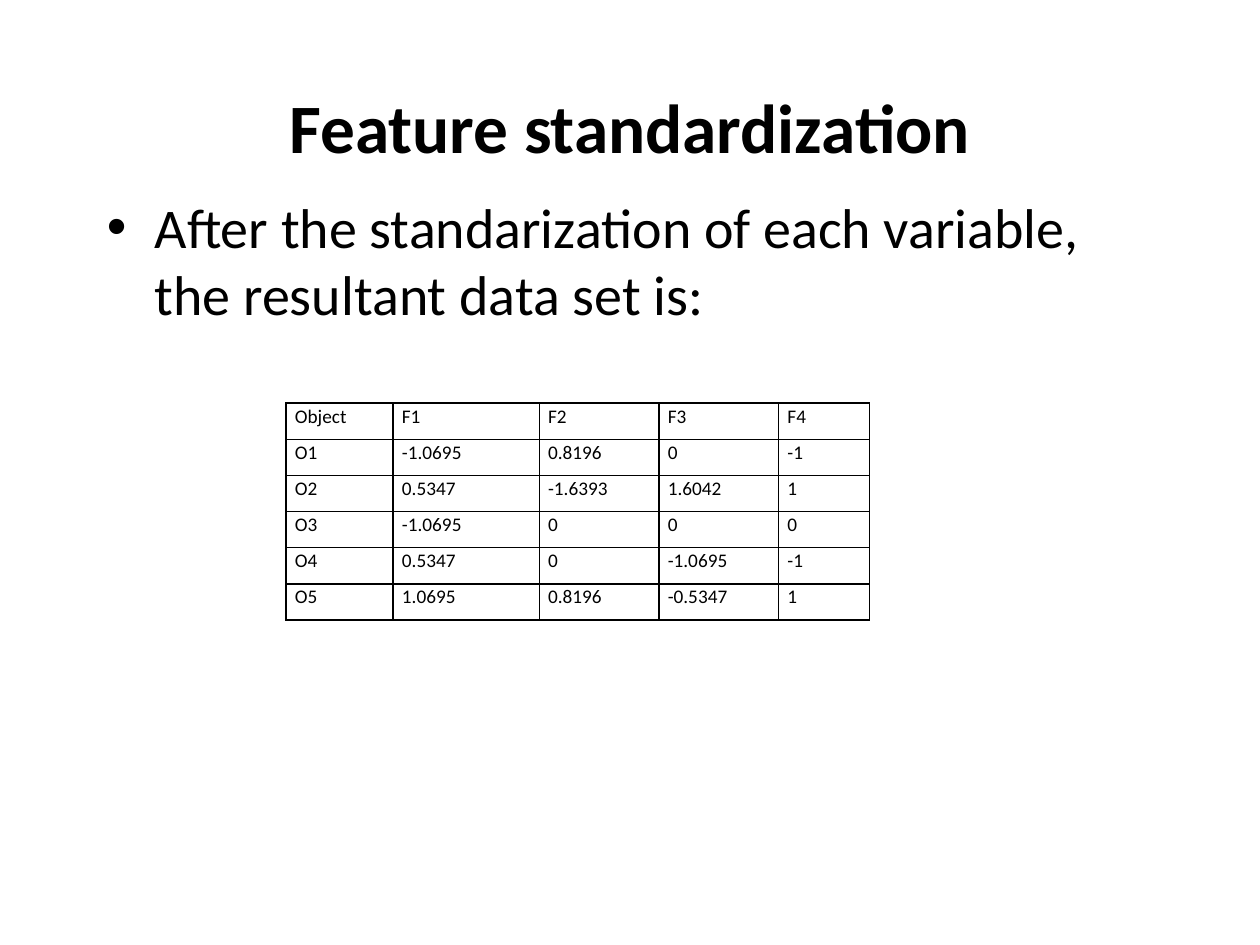
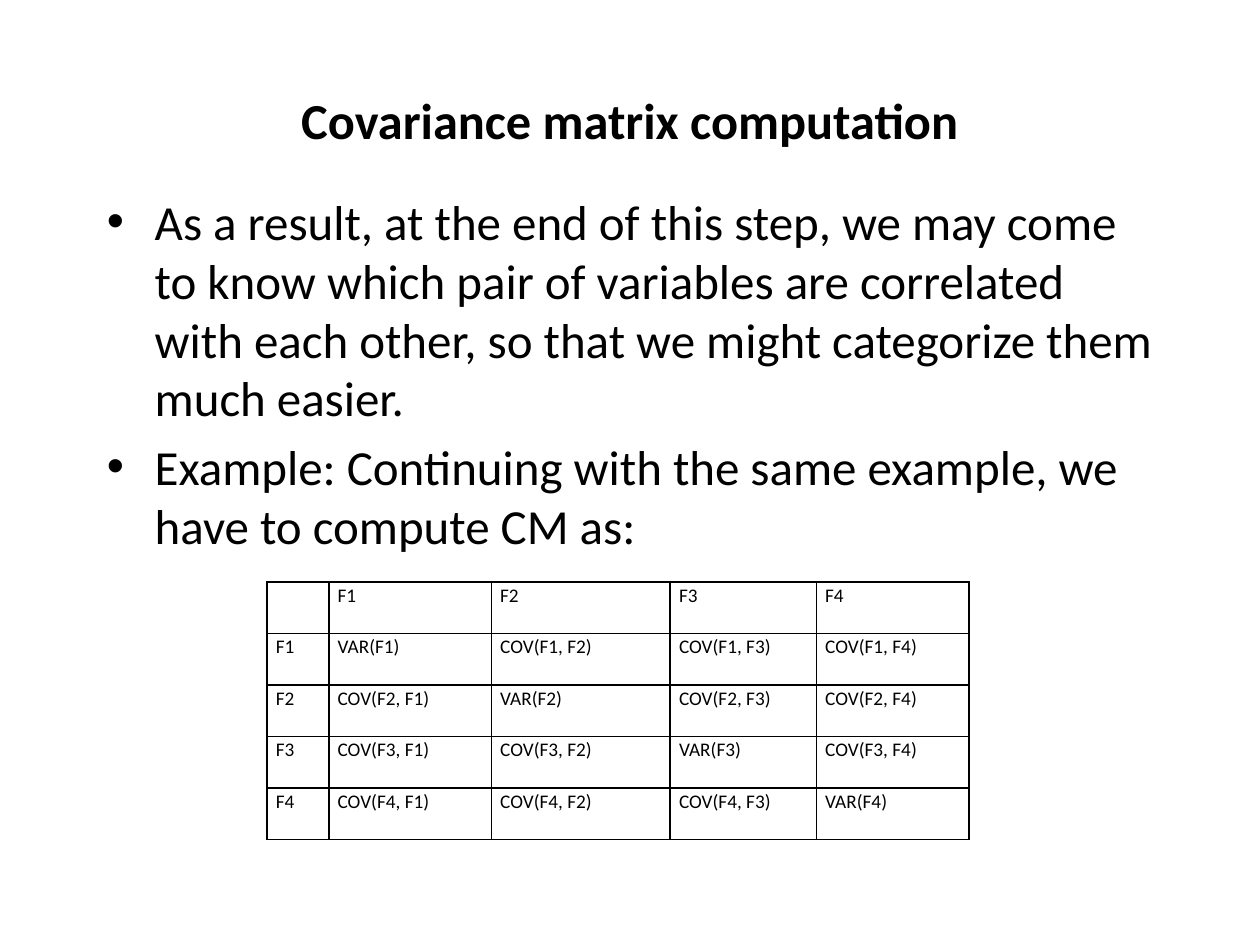
import pptx
import pptx.dml.color
import pptx.enum.text
import pptx.oxml
import pptx.oxml.ns
import pptx.util
from lxml import etree

BLACK = pptx.dml.color.RGBColor(0, 0, 0)
WHITE = pptx.dml.color.RGBColor(255, 255, 255)
COLS, ROWS = 40, 30
LEFT, WIDE = 3, 34
HEAD_TOP, BODY_END = 2.68, 26.68
ALIGN = pptx.enum.text.PP_ALIGN
ANCHOR = pptx.enum.text.MSO_ANCHOR


def apply(target, values):
    for name, value in values.items():
        setattr(target, name, value)


class Deck:
    font = {"name": "Calibri", "bold": False}
    cell = {"margin_left": pptx.util.Inches(0.07), "margin_right": pptx.util.Inches(0.07),
            "margin_top": 0, "margin_bottom": 0, "vertical_anchor": ANCHOR.TOP}
    plain = {"first_row": False, "horz_banding": False}

    def __init__(self):
        self.show = pptx.Presentation()
        apply(self.show, {"slide_width": pptx.util.Inches(10),
                          "slide_height": pptx.util.Inches(7.5)})
        self.page = None

    def across(self, count):
        return round(self.show.slide_width * count / COLS)

    def down(self, count):
        return round(self.show.slide_height * count / ROWS)

    def place(self, left, top, wide, high):
        return self.across(left), self.down(top), self.across(wide), self.down(high)

    def start(self):
        self.page = self.show.slides.add_slide(self.show.slide_layouts[6])
        fill = self.page.background.fill
        fill.solid()
        fill.fore_color.rgb = WHITE

    def label(self, para, text, size, **extra):
        run = para.add_run()
        run.text = text
        apply(run.font, {**self.font, "size": pptx.util.Pt(size), **extra})
        run.font.color.rgb = BLACK

    def frame(self, top, high, anchor):
        box = self.page.shapes.add_textbox(*self.place(LEFT, top, WIDE, high))
        apply(box.text_frame, {"word_wrap": True, "vertical_anchor": anchor})
        return box.text_frame

    def title(self, text, size, high):
        para = self.frame(HEAD_TOP, high, ANCHOR.MIDDLE).paragraphs[0]
        para.alignment = ALIGN.CENTER
        self.label(para, text, size, bold=True)

    def points(self, lines, size, top):
        frame = self.frame(top, BODY_END - top, ANCHOR.TOP)
        for rank, line in enumerate(lines):
            para = frame.add_paragraph() if rank else frame.paragraphs[0]
            self.bullet(para)
            para.space_before = pptx.util.Pt(size * 0.2 if rank else 0)
            self.label(para, line, size)

    def bullet(self, para):
        props = para._p.get_or_add_pPr()
        indent = pptx.util.Inches(0.38)
        props.set("marL", str(indent))
        props.set("indent", str(-indent))
        for tag, key, value in (("buFont", "typeface", "Arial"), ("buChar", "char", "•")):
            etree.SubElement(props, pptx.oxml.ns.qn("a:" + tag)).set(key, value)

    def border(self, cell):
        props = cell._tc.get_or_add_tcPr()
        for side in "LRTB":
            props.append(pptx.oxml.parse_xml(
                f'<a:ln{side} {pptx.oxml.ns.nsdecls("a")} w="{pptx.util.Pt(1)}">'
                f'<a:solidFill><a:srgbClr val="{BLACK}"/></a:solidFill></a:ln{side}>'))

    def table(self, data, left, top, widths, high):
        spot = self.place(left, top, sum(widths), high)
        table = self.page.shapes.add_table(len(data), len(widths), *spot).table
        apply(table, self.plain)
        for column, wide in zip(table.columns, widths):
            column.width = self.across(wide)
        for row, texts in zip(table.rows, data):
            row.height = self.down(high / len(data))
            for cell, text in zip(row.cells, texts):
                apply(cell, self.cell)
                self.border(cell)
                cell.fill.background()
                if text:
                    para = cell.text_frame.paragraphs[0]
                    para.line_spacing = 1.07
                    self.label(para, text, 11)


def main():
    deck = Deck()
    names = ["F1", "F2", "F3", "F4"]

    deck.start()
    deck.title("Feature standardization", 39.6, 2.6)
    deck.points(["After the standarization of each variable, the resultant data set is:"],
                32, 5.92)
    scores = [["Object", *names],
              ["O1", "-1.0695", "0.8196", "0", "-1"],
              ["O2", "0.5347", "-1.6393", "1.6042", "1"],
              ["O3", "-1.0695", "0", "0", "0"],
              ["O4", "0.5347", "0", "-1.0695", "-1"],
              ["O5", "1.0695", "0.8196", "-0.5347", "1"]]
    deck.table(scores, 9.08, 12.8, [3.4, 4.64, 3.8, 3.8, 2.88], 6.88)

    deck.start()
    deck.title("Covariance matrix computation", 28.8, 2.24)
    deck.points(["As a result, at the end of this step, we may come to know which pair of "
                 "variables are correlated with each other, so that we might categorize "
                 "them much easier.",
                 "Example: Continuing with the same example, we have to compute CM as:"],
                28, 5.88)
    matrix = [["", *names]]
    for row in names:
        matrix.append([row] + [f"VAR({row})" if row == col else f"COV({row}, {col})"
                               for col in names])
    deck.table(matrix, 8.48, 18.48, [1.96, 5.16, 5.68, 4.64, 4.84], 8.18)

    deck.show.save("out.pptx")


if __name__ == "__main__":
    main()
